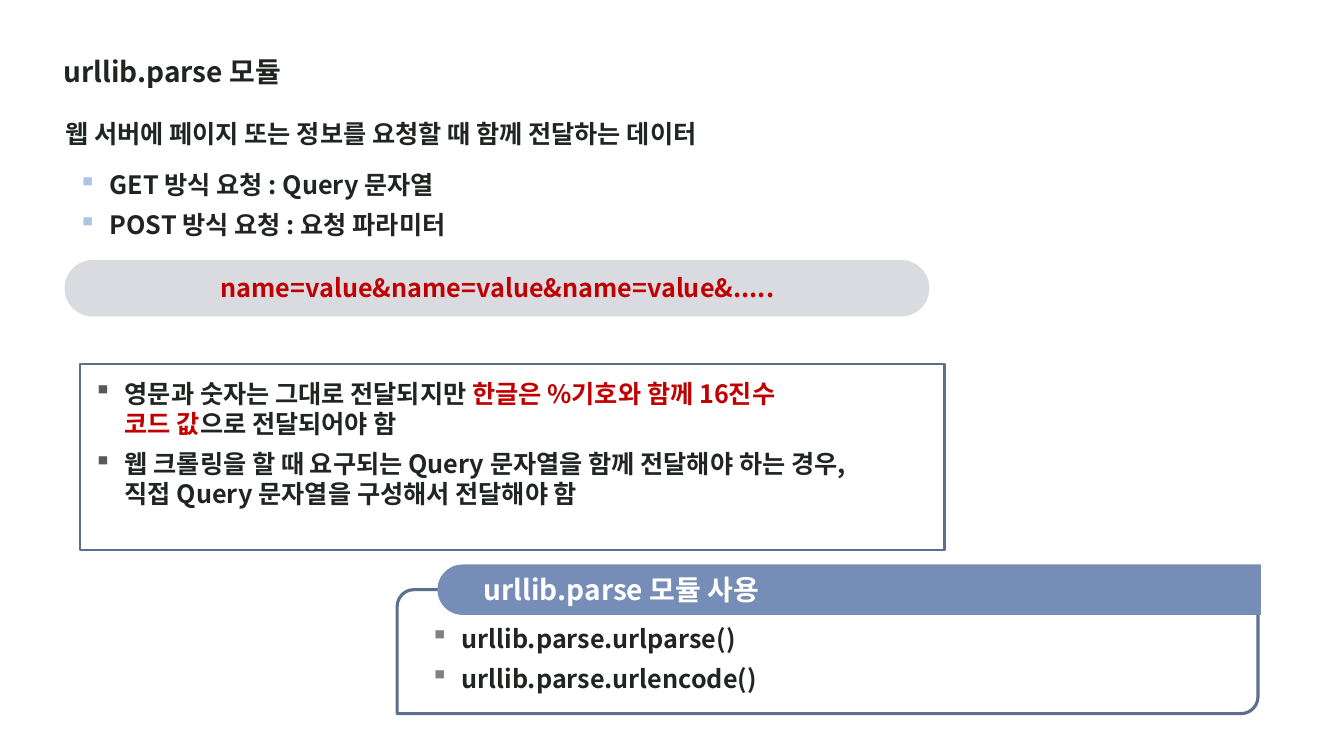
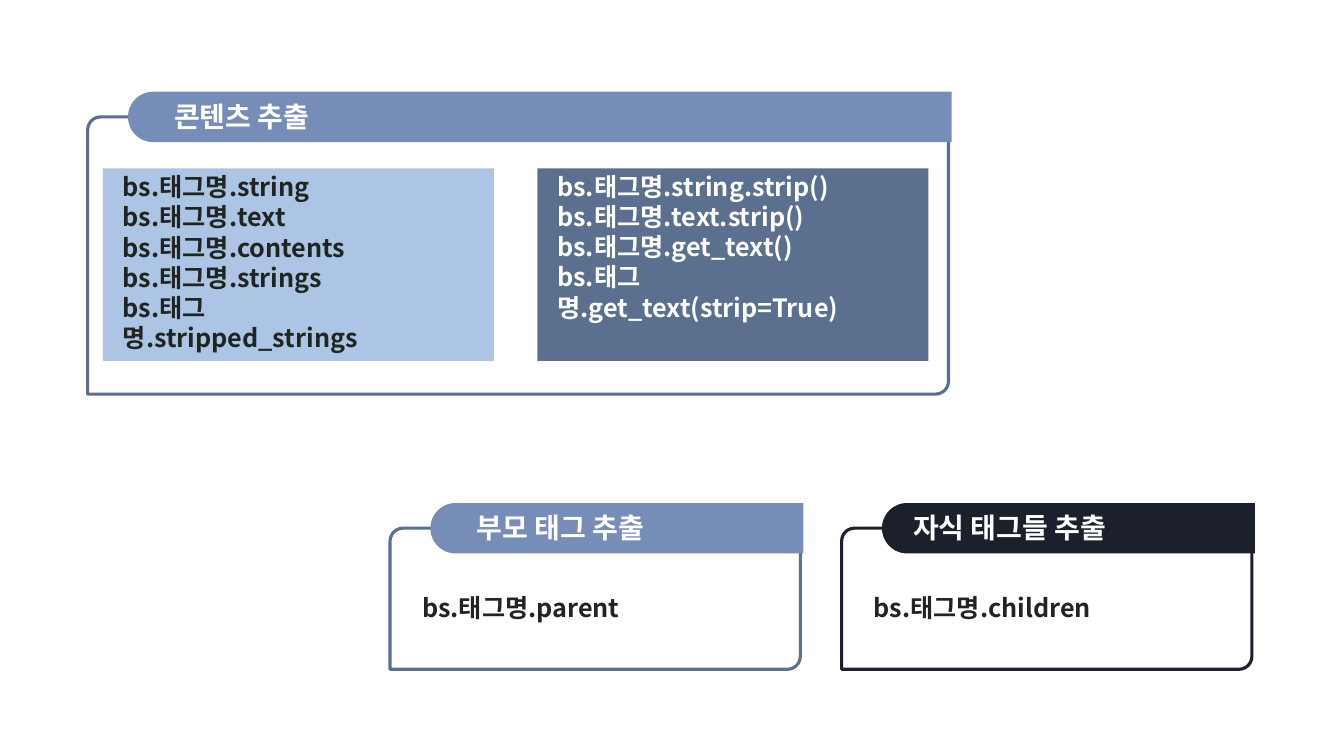
from dataclasses import dataclass
from typing import NamedTuple

from lxml import etree
from pptx import Presentation
from pptx.dml.color import RGBColor
from pptx.enum.shapes import MSO_SHAPE
from pptx.enum.text import MSO_ANCHOR, MSO_AUTO_SIZE, PP_ALIGN
from pptx.oxml.ns import qn
from pptx.shapes.autoshape import Shape
from pptx.slide import Slide
from pptx.text.text import _Paragraph
from pptx.util import Inches, Pt

RECTANGLE = MSO_SHAPE.RECTANGLE
PILL = MSO_SHAPE.ROUNDED_RECTANGLE
CARD_FRAME = MSO_SHAPE.ROUND_2_DIAG_RECTANGLE
CARD_TAB = MSO_SHAPE.ROUND_2_SAME_RECTANGLE
LEFT, CENTER = PP_ALIGN.LEFT, PP_ALIGN.CENTER
TOP, MIDDLE = MSO_ANCHOR.TOP, MSO_ANCHOR.MIDDLE
GROW = MSO_AUTO_SIZE.SHAPE_TO_FIT_TEXT

COLORS = {
    "ink": "202522",
    "white": "FFFFFF",
    "red": "C00000",
    "slate": "5B6F8E",
    "blue": "768DB7",
    "sky": "ACC5E4",
    "night": "1C202C",
    "mist": "DADBE0",
    "dark_gray": "595959",
    "gray": "808080",
}
FONT = "Noto Sans CJK KR"
TITLE_SIZE, BODY_SIZE = 20, 18
TITLE_ROWS, LINE_ROWS = 2.64, 2.4
SPACE_BEFORE = Pt(7)
BULLET_INDENT = Inches(0.31)

COLUMNS, ROWS = 80, 45
SLIDE_WIDTH, SLIDE_HEIGHT = Inches(40 / 3), Inches(7.5)
COLUMN, ROW = SLIDE_WIDTH / COLUMNS, SLIDE_HEIGHT / ROWS

TAB_ROWS = 3
TAB_OFFSET = 2.4
TAB_OVERHANG = 0.18


class Area(NamedTuple):
    column: float
    row: float
    columns: float
    rows: float


class Run(NamedTuple):
    text: str
    color: str = "ink"


@dataclass(frozen=True)
class TextStyle:
    size: int = BODY_SIZE
    spaced: bool = True
    bullet: str = ""
    alignment: PP_ALIGN = LEFT
    anchor: MSO_ANCHOR = TOP


@dataclass(frozen=True)
class Card:
    area: Area
    title: str
    radius: float = 0.77
    line: str = "slate"
    tab: str = "blue"
    title_indent: float = 4.56


@dataclass(frozen=True)
class Panel:
    fill: str
    color: str
    text_columns: float
    text_rows: float
    lines: tuple[str, ...]


Lines = list[list[Run]]

TITLE = TextStyle(size=TITLE_SIZE)
CARD_TITLE = TextStyle(size=TITLE_SIZE, spaced=False)
BODY = TextStyle()
FORMULA = TextStyle(spaced=False, alignment=CENTER)
CODE = TextStyle(spaced=False, anchor=MIDDLE)


def rgb(color: str) -> RGBColor:
    return RGBColor.from_string(COLORS[color])


def plain_lines(*texts: str, color: str = "ink") -> Lines:
    return [[Run(text, color)] for text in texts]


def add_box(slide: Slide, kind: MSO_SHAPE, area: Area, fill: str,
            line: str = "", line_width: float = 1.5) -> Shape:
    shape = slide.shapes.add_shape(
        kind, round(area.column * COLUMN), round(area.row * ROW),
        round(area.columns * COLUMN), round(area.rows * ROW))
    shape.shadow.inherit = False
    shape.fill.solid()
    shape.fill.fore_color.rgb = rgb(fill)
    if line:
        shape.line.color.rgb = rgb(line)
        shape.line.width = Pt(line_width)
    else:
        shape.line.fill.background()
    return shape


def add_run(paragraph: _Paragraph, text: str, color: str, size: int) -> None:
    run = paragraph.add_run()
    run.text = text
    run.font.name = FONT
    run.font.size = Pt(size)
    run.font.bold = True
    run.font.color.rgb = rgb(color)
    east_asian = etree.SubElement(run.font._element, qn("a:ea"))
    east_asian.set("typeface", FONT)


def add_bullet(paragraph: _Paragraph, color: str) -> None:
    properties = paragraph._p.get_or_add_pPr()
    properties.set("marL", str(BULLET_INDENT))
    properties.set("indent", str(-BULLET_INDENT))
    bullet_color = etree.SubElement(properties, qn("a:buClr"))
    etree.SubElement(bullet_color, qn("a:srgbClr")).set("val", COLORS[color])
    etree.SubElement(properties, qn("a:buChar")).set("char", "▪")


def add_text(slide: Slide, area: Area, lines: Lines, style: TextStyle) -> None:
    box = slide.shapes.add_textbox(
        round(area.column * COLUMN), round(area.row * ROW),
        round(area.columns * COLUMN), round(area.rows * ROW))
    frame = box.text_frame
    frame.word_wrap = True
    frame.auto_size = GROW
    frame.vertical_anchor = style.anchor
    for index, runs in enumerate(lines):
        paragraph = frame.add_paragraph() if index else frame.paragraphs[0]
        paragraph.alignment = style.alignment
        if style.spaced:
            paragraph.space_before = SPACE_BEFORE
        if style.bullet:
            add_bullet(paragraph, style.bullet)
        for run in runs:
            for part_index, part in enumerate(run.text.split("\n")):
                if part_index:
                    paragraph.add_line_break()
                if part:
                    add_run(paragraph, part, run.color, style.size)


def add_card(slide: Slide, card: Card) -> None:
    area = card.area
    frame = add_box(slide, CARD_FRAME, area, "white", card.line, 2.25)
    frame.adjustments[0] = card.radius / area.rows
    frame.adjustments[1] = 0

    length = area.columns - TAB_OFFSET + TAB_OVERHANG
    center = area.column + TAB_OFFSET + length / 2
    tab_area = Area(center - TAB_ROWS / 2, area.row - length / 2, TAB_ROWS, length)
    tab = add_box(slide, CARD_TAB, tab_area, card.tab)
    tab.adjustments[0] = 0.5
    tab.adjustments[1] = 0
    tab.rotation = 270

    title_area = Area(area.column + card.title_indent, area.row - TITLE_ROWS / 2,
                      area.columns - card.title_indent - 0.78, TITLE_ROWS)
    add_text(slide, title_area, plain_lines(card.title, color="white"), CARD_TITLE)


def add_panel(slide: Slide, panel: Panel, area: Area) -> None:
    add_box(slide, RECTANGLE, area, panel.fill)
    text_area = Area(area.column + 0.6, area.row + 0.72,
                     panel.text_columns, panel.text_rows)
    add_text(slide, text_area, plain_lines(*panel.lines, color=panel.color), CODE)


def build_query_slide(slide: Slide) -> None:
    add_text(slide, Area(3.18, 2.94, 52.92, TITLE_ROWS),
             plain_lines("urllib.parse 모듈"), TITLE)
    add_text(slide, Area(3.3, 6.72, 49.86, LINE_ROWS),
             plain_lines("웹 서버에 페이지 또는 정보를 요청할 때 함께 전달하는 데이터"), BODY)
    add_text(slide, Area(4.08, 9.78, 46.62, 2 * LINE_ROWS),
             plain_lines("GET 방식 요청 : Query 문자열", "POST 방식 요청 : 요청 파라미터"),
             TextStyle(bullet="sky"))

    pill = add_box(slide, PILL, Area(3.84, 15.48, 51.48, 3.36), "mist")
    pill.adjustments[0] = 0.5
    add_text(slide, Area(5.82, 15.9, 47.58, LINE_ROWS),
             plain_lines("name=value&name=value&name=value&.....", color="red"), FORMULA)

    add_box(slide, RECTANGLE, Area(4.74, 21.66, 51.48, 11.1), "white", "slate")
    encoding_notes = [
        [Run("영문과 숫자는 그대로 전달되지만 "),
         Run("한글은 %기호와 함께 16진수\n코드 값", "red"),
         Run("으로 전달되어야 함")],
        [Run("웹 크롤링을 할 때 요구되는 Query 문자열을 함께 전달해야 하는 경우,\n"
             "직접 Query 문자열을 구성해서 전달해야 함")],
    ]
    add_text(slide, Area(4.98, 22.2, 49.86, 10.02), encoding_notes,
             TextStyle(bullet="dark_gray"))

    add_card(slide, Card(Area(23.64, 35.1, 51.24, 7.38), "urllib.parse 모듈 사용", radius=1))
    add_text(slide, Area(25.02, 36.78, 49.14, 2 * LINE_ROWS),
             plain_lines("urllib.parse.urlparse()", "urllib.parse.urlencode()"),
             TextStyle(bullet="gray"))


def build_extraction_slide(slide: Slide) -> None:
    add_card(slide, Card(Area(5.22, 6.96, 51.24, 16.5), "콘텐츠 추출"))
    panels = (
        Panel("sky", "ink", 18.9, 9.72,
              ("bs.태그명.string", "bs.태그명.text", "bs.태그명.contents",
               "bs.태그명.strings", "bs.태그명.stripped_strings")),
        Panel("slate", "white", 22.14, 7.86,
              ("bs.태그명.string.strip()", "bs.태그명.text.strip()",
               "bs.태그명.get_text()", "bs.태그명.get_text(strip=True)")),
    )
    for index, panel in enumerate(panels):
        add_panel(slide, panel, Area(6.12 + index * 25.86, 10.02, 23.28, 11.46))

    parent_area = Area(23.22, 31.44, 24.42, 8.4)
    children_area = parent_area._replace(column=parent_area.column + 26.88)
    relatives = (
        (Card(parent_area, "부모 태그 추출"), "bs.태그명.parent"),
        (Card(children_area, "자식 태그들 추출", line="night", tab="night",
              title_indent=3.66), "bs.태그명.children"),
    )
    for card, code in relatives:
        add_card(slide, card)
        code_area = Area(card.area.column + 1.32, card.area.row + 3.54, 20.82, LINE_ROWS)
        add_text(slide, code_area, plain_lines(code), BODY)


presentation = Presentation()
presentation.slide_width = SLIDE_WIDTH
presentation.slide_height = SLIDE_HEIGHT
blank_layout = presentation.slide_layouts[6]
for build_slide in (build_query_slide, build_extraction_slide):
    build_slide(presentation.slides.add_slide(blank_layout))
presentation.save("out.pptx")
